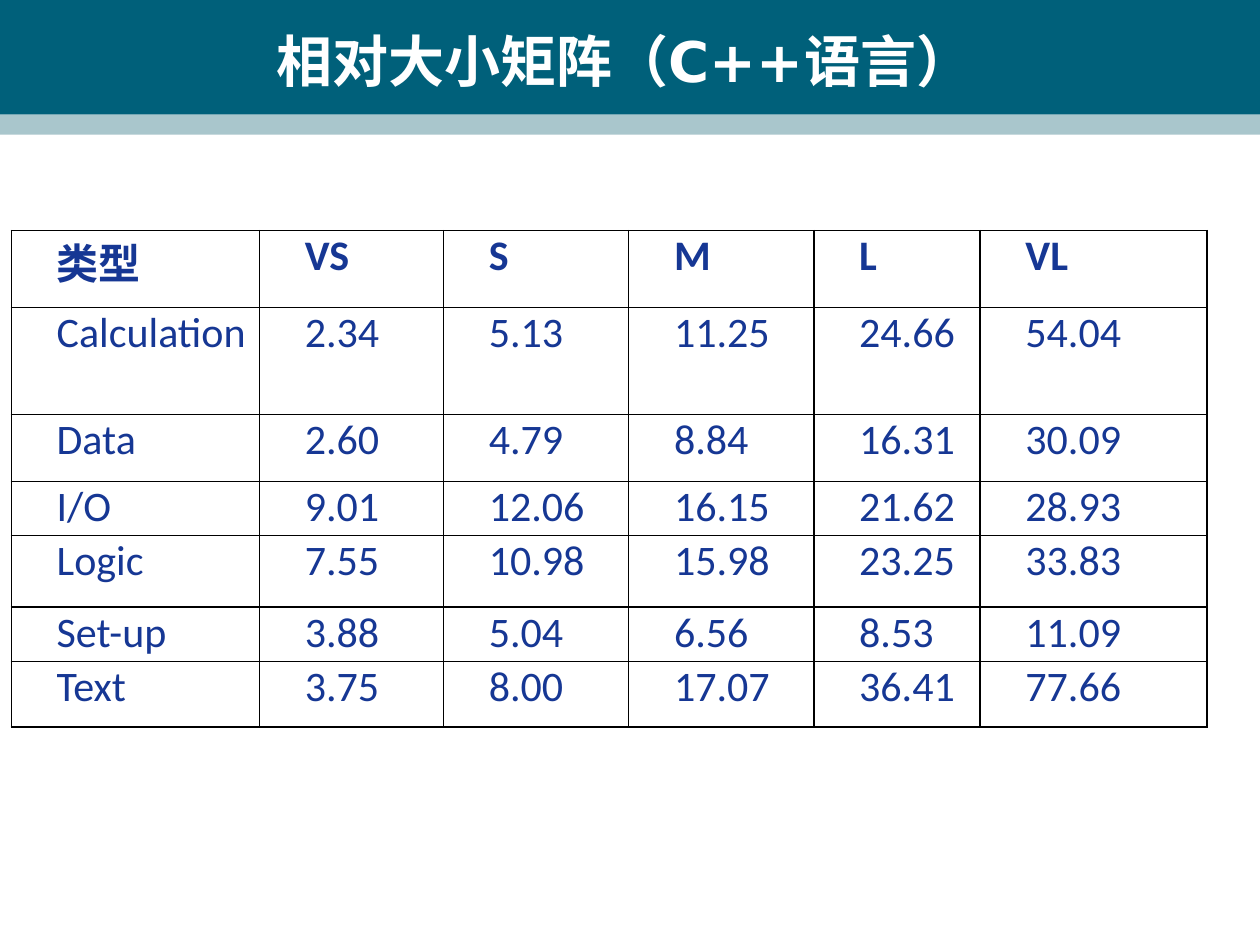
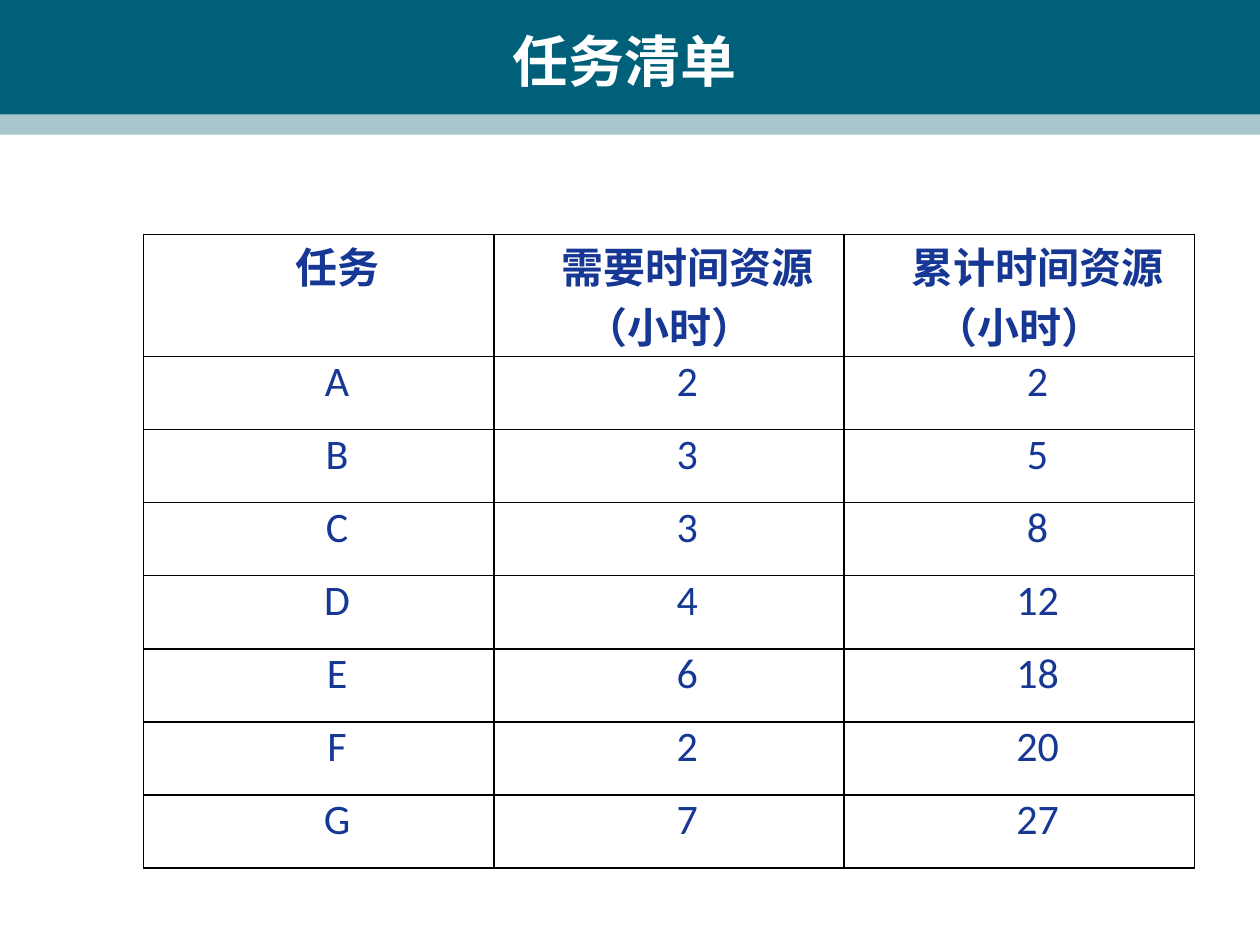
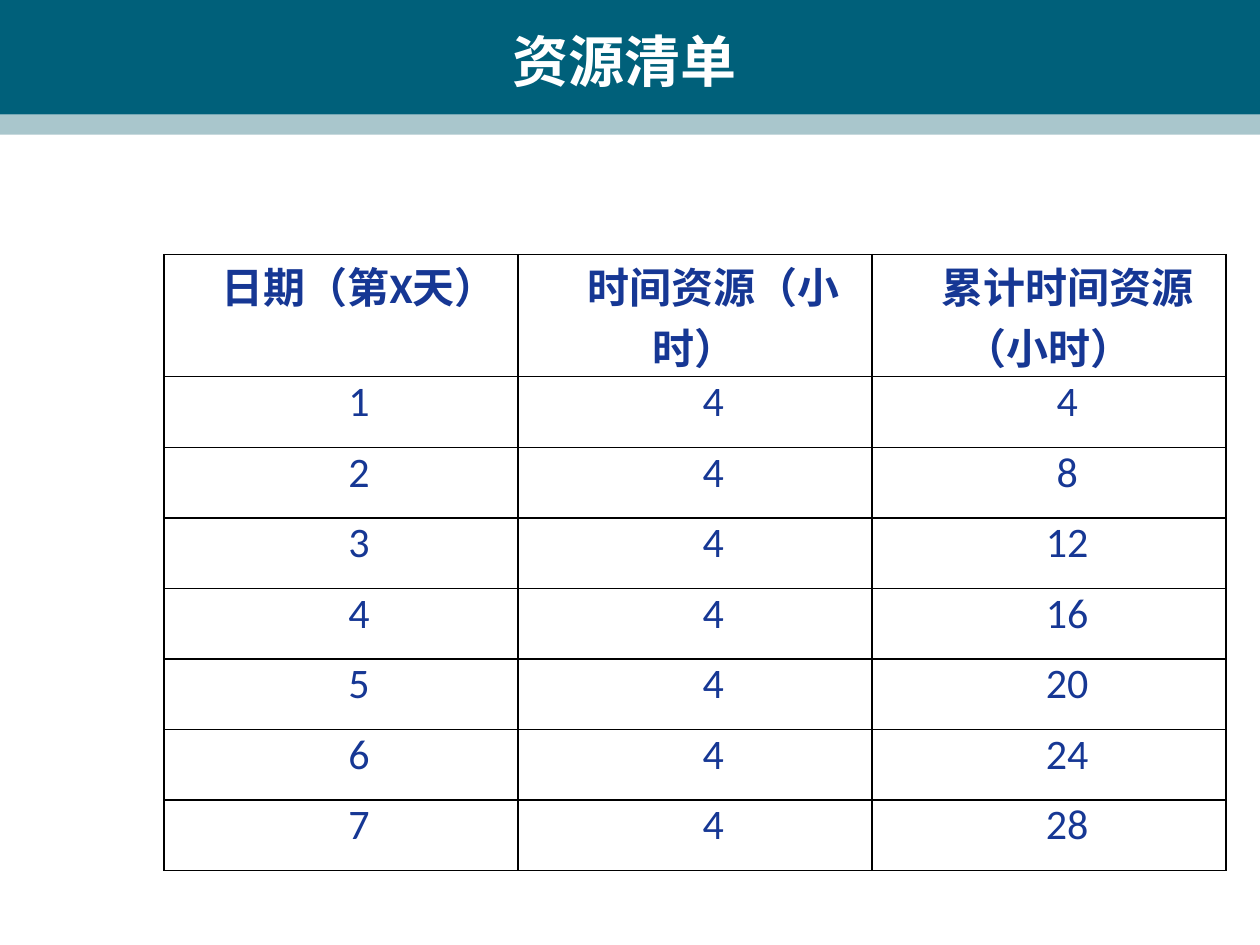
import itertools

import lxml.etree
import pptx
import pptx.dml.color
import pptx.enum.shapes
import pptx.enum.text
import pptx.oxml.ns
import pptx.util

Inches = pptx.util.Inches
Align = pptx.enum.text.PP_ALIGN

BAND_COLOR = "00607A"
STRIPE_COLOR = "A9C6CC"
WHITE = "FFFFFF"
TABLE_TEXT_COLOR = "163794"
BORDER_COLOR = "000000"
TITLE_FONT, TITLE_SIZE = "DejaVu Sans", 32
TABLE_FONT, TABLE_SIZE = "Calibri", 24
BANDS = [((0, 0, 10, 0.91), BAND_COLOR), ((0, 0.91, 10, 0.16), STRIPE_COLOR)]
TITLE_BOX = (0.33, 0.17, 9.25, 0.62)
FIRST_LINE_INDENT = 0.29
CELL_SIDE_MARGIN = 0.07
TWO_LINE_HEADER = 0.97

SIZE_MATRIX = [
    ("类型", "VS", "S", "M", "L", "VL"),
    ("Calculation", "2.34", "5.13", "11.25", "24.66", "54.04"),
    ("Data", "2.60", "4.79", "8.84", "16.31", "30.09"),
    ("I/O", "9.01", "12.06", "16.15", "21.62", "28.93"),
    ("Logic", "7.55", "10.98", "15.98", "23.25", "33.83"),
    ("Set-up", "3.88", "5.04", "6.56", "8.53", "11.09"),
    ("Text", "3.75", "8.00", "17.07", "36.41", "77.66"),
]
TASK_HEADER = ("任务", "需要时间资源（小时）", "累计时间资源（小时）")
TASK_HOURS = {"A": 2, "B": 3, "C": 3, "D": 4, "E": 6, "F": 2, "G": 7}
DAY_HEADER = ("日期（第X天）", "时间资源（小时）", "累计时间资源（小时）")
DAY_HOURS = {day: 4 for day in range(1, 8)}


def with_running_total(header, hours):
    totals = itertools.accumulate(hours.values())
    return [header, *zip(hours.keys(), hours.values(), totals)]


SLIDES = [
    {
        "title": "相对大小矩阵（C++语言）",
        "rows": SIZE_MATRIX,
        "corner": (0.09, 1.83),
        "widths": [1.97, 1.46, 1.47, 1.47, 1.32, 1.8],
        "heights": [0.61, 0.85, 0.53, 0.43, 0.57, 0.43, 0.52],
        "header_align": Align.LEFT,
        "body_align": Align.JUSTIFY,
    },
    {
        "title": "任务清单",
        "rows": with_running_total(TASK_HEADER, TASK_HOURS),
        "corner": (1.14, 1.86),
        "widths": [2.78] * 3,
        "heights": [TWO_LINE_HEADER] + [0.58] * 7,
        "header_align": Align.CENTER,
        "body_align": Align.CENTER,
    },
    {
        "title": "资源清单",
        "rows": with_running_total(DAY_HEADER, DAY_HOURS),
        "corner": (1.3, 2.02),
        "widths": [2.81] * 3,
        "heights": [TWO_LINE_HEADER] + [0.56] * 7,
        "header_align": Align.CENTER,
        "body_align": Align.CENTER,
    },
]


def rgb(color):
    return pptx.dml.color.RGBColor.from_string(color)


def add_run(paragraph, text, font, size, color, bold):
    run = paragraph.add_run()
    run.text = str(text)
    run.font.name = font
    run.font.size = pptx.util.Pt(size)
    run.font.color.rgb = rgb(color)
    run.font.bold = bold


def add_bands(slide):
    for box, color in BANDS:
        band = slide.shapes.add_shape(
            pptx.enum.shapes.MSO_SHAPE.RECTANGLE, *map(Inches, box))
        band.shadow.inherit = False
        band.fill.solid()
        band.fill.fore_color.rgb = rgb(color)
        band.line.fill.background()


def add_title(slide, text):
    frame = slide.shapes.add_textbox(*map(Inches, TITLE_BOX)).text_frame
    frame.word_wrap = True
    frame.vertical_anchor = pptx.enum.text.MSO_ANCHOR.MIDDLE
    paragraph = frame.paragraphs[0]
    paragraph.alignment = Align.CENTER
    add_run(paragraph, text, TITLE_FONT, TITLE_SIZE, WHITE, True)


def add_borders(cell):
    qn = pptx.oxml.ns.qn
    properties = cell._tc.get_or_add_tcPr()
    for side in ("lnL", "lnR", "lnT", "lnB"):
        line = lxml.etree.SubElement(
            properties, qn(f"a:{side}"), w=str(pptx.util.Pt(1)))
        fill = lxml.etree.SubElement(line, qn("a:solidFill"))
        lxml.etree.SubElement(fill, qn("a:srgbClr"), val=BORDER_COLOR)


def fill_cell(cell, text, align, bold):
    add_borders(cell)
    cell.fill.solid()
    cell.fill.fore_color.rgb = rgb(WHITE)
    cell.margin_left = cell.margin_right = Inches(CELL_SIDE_MARGIN)
    cell.margin_top = cell.margin_bottom = 0
    paragraph = cell.text_frame.paragraphs[0]
    paragraph.alignment = align
    properties = paragraph._p.get_or_add_pPr()
    properties.set("marL", "0")
    properties.set("indent", str(Inches(FIRST_LINE_INDENT)))
    add_run(paragraph, text, TABLE_FONT, TABLE_SIZE, TABLE_TEXT_COLOR, bold)


def add_grid(slide, content):
    widths, heights = content["widths"], content["heights"]
    box = (*content["corner"], sum(widths), sum(heights))
    table = slide.shapes.add_table(
        len(heights), len(widths), *map(Inches, box)).table
    table.horz_banding = False
    for column, width in zip(table.columns, widths):
        column.width = Inches(width)
    for row, height in zip(table.rows, heights):
        row.height = Inches(height)
    for row_index, values in enumerate(content["rows"]):
        is_header = row_index == 0
        align = content["header_align" if is_header else "body_align"]
        for column_index, value in enumerate(values):
            fill_cell(table.cell(row_index, column_index), value, align, is_header)


def main():
    presentation = pptx.Presentation()
    presentation.slide_width = Inches(10)
    presentation.slide_height = Inches(7.5)
    for content in SLIDES:
        slide = presentation.slides.add_slide(presentation.slide_layouts[6])
        add_bands(slide)
        add_title(slide, content["title"])
        add_grid(slide, content)
    presentation.save("out.pptx")


if __name__ == "__main__":
    main()
